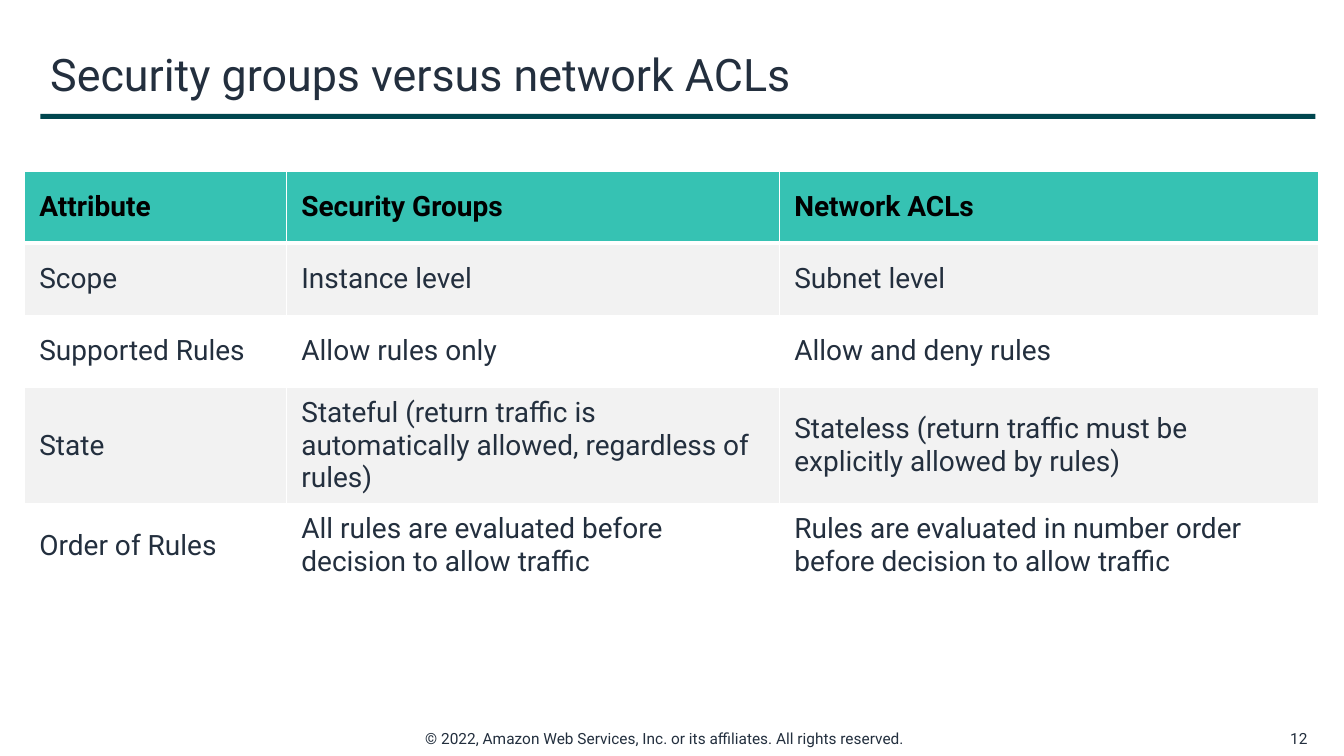
from lxml import etree
from pptx import Presentation
from pptx import util as u
from pptx.dml import color
from pptx.enum import shapes, text
from pptx.oxml import ns

COLUMNS, ROWS = 160, 90
COLORS = {"ink": "232F3E", "rule": "00464F", "header": "36C2B3",
          "band": "F2F2F2", "white": "FFFFFF", "black": "000000"}
COMPARISON = [
    ("Attribute", "Security Groups", "Network ACLs"),
    ("Scope", "Instance level", "Subnet level"),
    ("Supported Rules", "Allow rules only", "Allow and deny rules"),
    ("State",
     "Stateful (return traffic is automatically allowed, regardless of rules)",
     "Stateless (return traffic must be explicitly allowed by rules)"),
    ("Order of Rules",
     "All rules are evaluated before decision to allow traffic",
     "Rules are evaluated in number order before decision to allow traffic"),
]


def rgb(name):
    return color.RGBColor.from_string(COLORS[name])


class Deck:
    font = "Roboto"

    def __init__(self):
        self.prs = Presentation()
        self.prs.slide_width = u.Inches(40 / 3)
        self.prs.slide_height = u.Inches(7.5)
        self.slide = self.prs.slides.add_slide(self.prs.slide_layouts[6])

    def x(self, columns):
        return round(self.prs.slide_width * columns / COLUMNS)

    def y(self, rows):
        return round(self.prs.slide_height * rows / ROWS)

    def place(self, left, top, width, height):
        return self.x(left), self.y(top), self.x(width), self.y(height)

    def add_words(self, frame, words, size, ink="ink", bold=False,
                  align=text.PP_ALIGN.LEFT):
        paragraph = frame.paragraphs[0]
        paragraph.alignment = align
        run = paragraph.add_run()
        run.text = words
        run.font.name = self.font
        run.font.size = u.Pt(size)
        run.font.bold = bold
        run.font.color.rgb = rgb(ink)

    def label(self, area, words, size, **style):
        frame = self.slide.shapes.add_textbox(*self.place(*area)).text_frame
        frame.word_wrap = True
        frame.vertical_anchor = text.MSO_ANCHOR.MIDDLE
        self.add_words(frame, words, size, **style)

    def bar(self, area, fill):
        bar = self.slide.shapes.add_shape(
            shapes.MSO_SHAPE.RECTANGLE, *self.place(*area))
        bar.shadow.inherit = False
        bar.fill.solid()
        bar.fill.fore_color.rgb = rgb(fill)
        bar.line.fill.background()

    def borders(self, cell, **widths):
        properties = cell._tc.get_or_add_tcPr()
        for position, (side, points) in enumerate(widths.items()):
            line = etree.Element(ns.qn(f"a:ln{side}"), w=str(u.Pt(points)))
            fill = etree.SubElement(line, ns.qn("a:solidFill"))
            etree.SubElement(fill, ns.qn("a:srgbClr"), val=COLORS["white"])
            properties.insert(position, line)

    def table(self, left, top, widths, row_height, records, size):
        area = self.place(left, top, sum(widths), row_height * len(records))
        table = self.slide.shapes.add_table(
            len(records), len(widths), *area).table
        for column, width in zip(table.columns, widths):
            column.width = self.x(width)
        for index, record in enumerate(records):
            table.rows[index].height = self.y(row_height)
            header = index == 0
            fill = "header" if header else "band" if index % 2 else "white"
            for column, words in enumerate(record):
                cell = table.cell(index, column)
                cell.fill.solid()
                cell.fill.fore_color.rgb = rgb(fill)
                cell.vertical_anchor = text.MSO_ANCHOR.MIDDLE
                cell.margin_left = cell.margin_right = u.Inches(0.15)
                cell.margin_top = cell.margin_bottom = u.Inches(0.08)
                self.add_words(cell.text_frame, words, size,
                               "black" if header else "ink", header)
                self.borders(cell, L=1, R=1, T=3 if index == 1 else 1,
                             B=3 if header else 1)

    def save(self):
        self.prs.save("out.pptx")


def main():
    deck = Deck()
    deck.label((49.44, 86.16, 61.08, 3.48),
               "© 2022, Amazon Web Services, Inc. or its affiliates. "
               "All rights reserved.", 11)
    deck.bar((4.8, 13.56, 151.8, 0.6), "rule")
    deck.label((150.48, 86.16, 6.36, 3.48), "12", 11,
               align=text.PP_ALIGN.RIGHT)
    deck.label((4.8, 3.96, 151.8, 9.6),
               "Security groups versus network ACLs", 32)
    deck.table(2.88, 20.4, (31.2, 58.68, 64.2), 8.56, COMPARISON, 20)
    deck.save()


if __name__ == "__main__":
    main()
